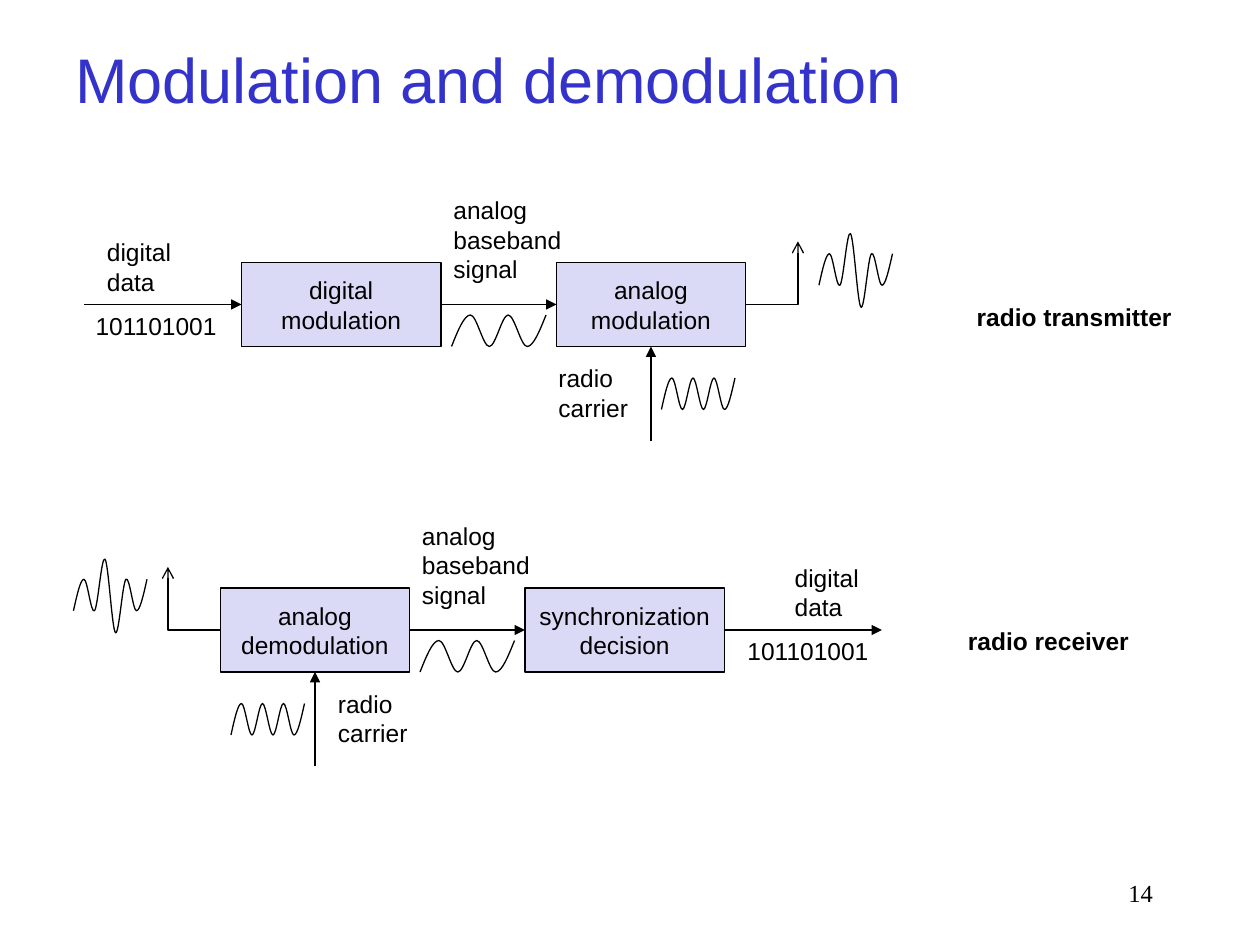
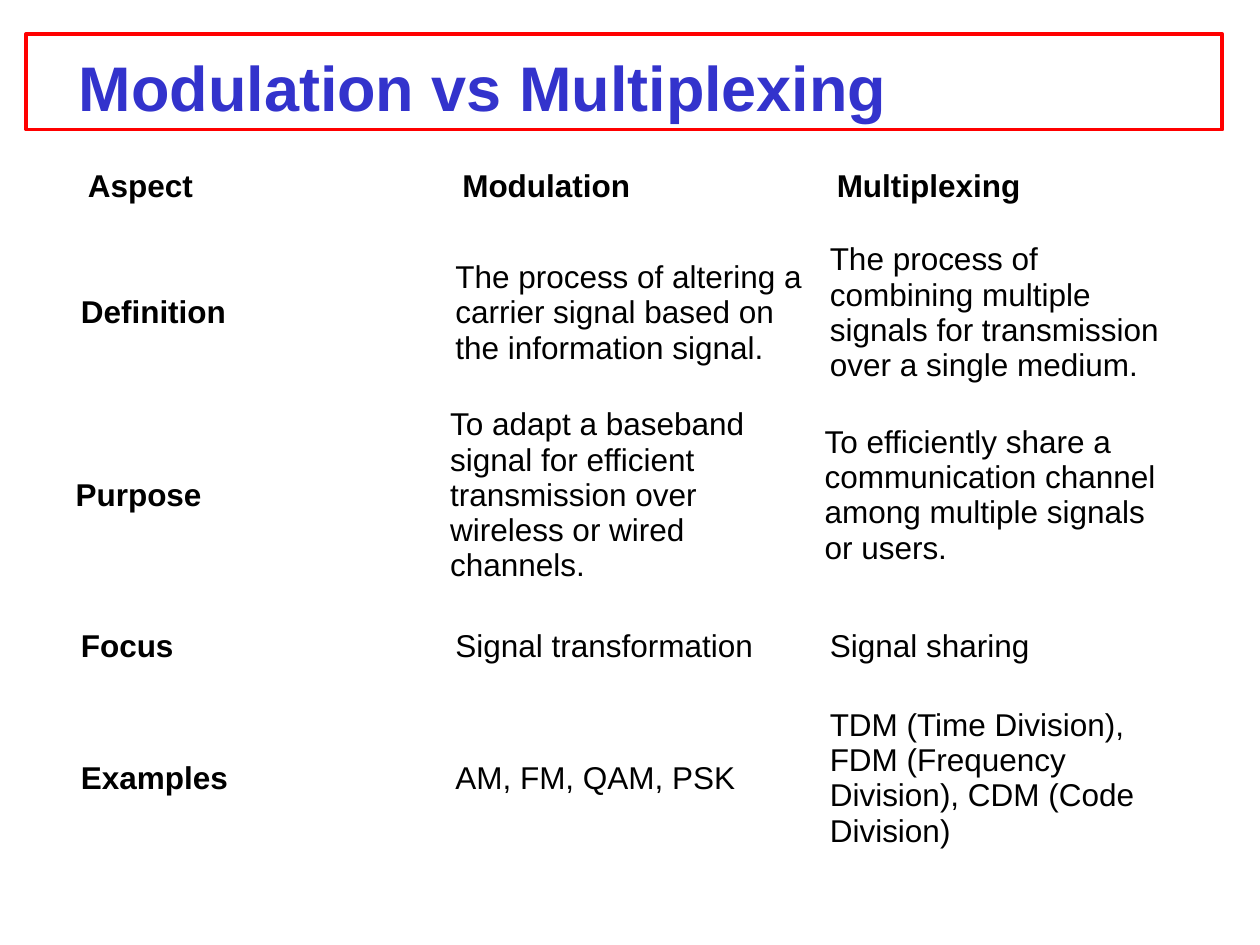
from pptx import Presentation
from pptx.dml.color import RGBColor
from pptx.enum.shapes import MSO_CONNECTOR as Link, MSO_SHAPE as Preset
from pptx.enum.text import MSO_ANCHOR as Anchor, MSO_AUTO_SIZE as Fit, PP_ALIGN as Align
from pptx.oxml.ns import qn
from pptx.oxml.xmlchemy import OxmlElement
from pptx.util import Pt

COLORS = {"title": "3333CC", "ink": "000000", "block": "DADAF6", "frame": "FF0000"}
NO_GRID_STYLE = "{2D5ABB26-0587-4C30-8999-92F81FD0307C}"
LINE = 0.74

DATA = ["digital", "data"]
BITS = ["101101001"]
BASEBAND = ["analog", "baseband", "signal"]
CARRIER = ["radio", "carrier"]

BASEBAND_WAVE = ([0, 18, 0, 18, 0, 18], 10.8, 24)
CARRIER_WAVE = ([0, 18] * 4, 6, 60)
RADIO_WAVE = ([0, 18, 0, 29.5, -12.5, 18, 0, 18], 6, -11)

CHAINS = [
    {"axis": 174,
     "blocks": [(138, 114, ["digital", "modulation"]), (318, 108, ["analog", "modulation"])],
     "flows": [(48, 138), (252, 318)],
     "antenna": (426, 456),
     "carrier": 372,
     "waves": [(258, BASEBAND_WAVE), (378, CARRIER_WAVE), (468, RADIO_WAVE)],
     "labels": [(54, -42, 51, DATA), (252, -66, 76, BASEBAND),
                (47.5, 0, 84, BITS), (312, 30, 54, CARRIER)],
     "caption": (551, -5, 126, ["radio transmitter"])},
    {"axis": 360,
     "blocks": [(126, 108, ["analog", "demodulation"]), (300, 114, ["synchronization", "decision"])],
     "flows": [(234, 300), (414, 504)],
     "antenna": (126, 96),
     "carrier": 180,
     "waves": [(240, BASEBAND_WAVE), (132, CARRIER_WAVE), (42, RADIO_WAVE)],
     "labels": [(447, -42, 51, DATA), (234, -66, 76, BASEBAND),
                (420, 0, 84, BITS), (186, 30, 54, CARRIER)],
     "caption": (546, -6, 107, ["radio receiver"])},
]

COMPARISON = [
    (43, 92, 29, ["Aspect", "Modulation", "Multiplexing"]),
    (39, 132, 93.6, ["Definition",
                     "The process of altering a carrier signal based on the information signal.",
                     "The process of combining multiple signals for transmission over a single medium."]),
    (36, 225.5, 115.2, ["Purpose",
                        "To adapt a baseband signal for efficient transmission over wireless or wired channels.",
                        "To efficiently share a communication channel among multiple signals or users."]),
    (39, 355, 29, ["Focus", "Signal transformation", "Signal sharing"]),
    (39, 398, 93.6, ["Examples", "AM, FM, QAM, PSK",
                     "TDM (Time Division), FDM (Frequency Division), CDM (Code Division)"]),
]
COLUMN = 214


def rgb(name):
    return RGBColor.from_string(COLORS[name])


def write(frame, lines, size=14, bold=False, color="ink", font="Arial", align=Align.LEFT):
    frame.text = "\n".join(lines)
    for paragraph in frame.paragraphs:
        paragraph.alignment = align
        paragraph.font.name, paragraph.font.size = font, Pt(size)
        paragraph.font.bold = bold
        paragraph.font.color.rgb = rgb(color)


def add_text(slide, box, lines, wrap=False, anchor=Anchor.TOP, **style):
    frame = slide.shapes.add_textbox(*map(Pt, box)).text_frame
    write(frame, lines, **style)
    frame.word_wrap, frame.vertical_anchor = wrap, anchor
    frame.auto_size = Fit.NONE if wrap else Fit.SHAPE_TO_FIT_TEXT


def add_title(slide, left, top, text, bold=False):
    add_text(slide, (left, top, 612, 90), [text], wrap=True, anchor=Anchor.MIDDLE,
             size=36, color="title", bold=bold)


def stroke(shape, width=LINE, color="ink"):
    shape.line.color.rgb = rgb(color)
    shape.line.width = Pt(width)


def add_box(slide, box, fill=None, width=LINE, color="ink"):
    rect = slide.shapes.add_shape(Preset.RECTANGLE, *map(Pt, box))
    rect.shadow.inherit = False
    if fill:
        rect.fill.solid()
        rect.fill.fore_color.rgb = rgb(fill)
    else:
        rect.fill.background()
    stroke(rect, width, color)
    return rect


def add_arrow(slide, start, end, kind=Link.STRAIGHT, tip="triangle"):
    arrow = slide.shapes.add_connector(kind, *map(Pt, (*start, *end)))
    stroke(arrow)
    properties = arrow._element.spPr
    if kind == Link.ELBOW:
        properties.find(qn("a:prstGeom")).set("prst", "bentConnector2")
    tail = OxmlElement("a:tailEnd")
    tail.set("type", tip)
    properties.find(qn("a:ln")).append(tail)
    properties.append(OxmlElement("a:effectLst"))


def add_wave(slide, left, base, levels, step):
    last = len(levels) - 1
    tilts = [(levels[1] - levels[0]) / 2]
    tilts += [(after - before) / 6 for before, after in zip(levels, levels[2:])]
    tilts.append((levels[last] - levels[last - 1]) / 2)
    points = []
    for i in range(last):
        heights = (levels[i] + tilts[i], levels[i + 1] - tilts[i + 1], levels[i + 1])
        points += [(Pt(left + step * (i + k / 3)), Pt(base - height))
                   for k, height in enumerate(heights, 1)]
    builder = slide.shapes.build_freeform(Pt(left), Pt(base - levels[0]))
    builder.add_line_segments(points, close=False)
    wave = builder.convert_to_shape()
    segments = list(wave._element.iter(qn("a:lnTo")))
    for i in range(0, len(segments), 3):
        curve = OxmlElement("a:cubicBezTo")
        segments[i].addprevious(curve)
        for segment in segments[i:i + 3]:
            curve.append(segment[0])
            segment.getparent().remove(segment)
    wave.shadow.inherit = False
    wave.fill.background()
    stroke(wave)


def add_chain(slide, chain):
    axis = chain["axis"]
    for left, width, lines in chain["blocks"]:
        block = add_box(slide, (left, axis - 24, width, 48), "block").text_frame
        write(block, lines, align=Align.CENTER)
        block.word_wrap, block.vertical_anchor = False, Anchor.MIDDLE
    for start, end in chain["flows"]:
        add_arrow(slide, (start, axis), (end, axis))
    add_arrow(slide, (chain["carrier"], axis + 78), (chain["carrier"], axis + 24))
    foot, mast = chain["antenna"]
    add_arrow(slide, (foot, axis), (mast, axis - 36), Link.ELBOW, "arrow")
    for left, (levels, step, drop) in chain["waves"]:
        add_wave(slide, left, axis + drop, levels, step)
    for label in chain["labels"] + [chain["caption"]]:
        left, drop, width, lines = label
        add_text(slide, (left, axis + drop, width, 7.2 + 17 * len(lines)), lines,
                 bold=label is chain["caption"])


def add_band(slide, left, top, height, texts, header):
    table = slide.shapes.add_table(1, len(texts), Pt(left), Pt(top),
                                   Pt(COLUMN * len(texts)), Pt(height)).table
    table.first_row = table.horz_banding = False
    table._tbl.tblPr.find(qn("a:tableStyleId")).text = NO_GRID_STYLE
    for i, text in enumerate(texts):
        table.columns[i].width = Pt(COLUMN)
        cell = table.cell(0, i)
        cell.fill.background()
        cell.vertical_anchor = Anchor.MIDDLE
        write(cell.text_frame, [text], size=18, bold=header or i == 0)


deck = Presentation()
deck.slide_width, deck.slide_height = Pt(720), Pt(540)
blank = deck.slide_layouts[6]

radio = deck.slides.add_slide(blank)
add_text(radio, (516, 498, 150, 36), ["14"], wrap=True, font="Times New Roman", align=Align.RIGHT)
add_title(radio, 36, 0, "Modulation and demodulation")
for chain in CHAINS:
    add_chain(radio, chain)

comparison = deck.slides.add_slide(blank)
add_title(comparison, 38, 4.5, "Modulation vs Multiplexing", bold=True)
for row, band in enumerate(COMPARISON):
    add_band(comparison, *band, header=row == 0)
add_box(comparison, (15, 19.5, 683.5, 54.5), width=2.24, color="frame")

deck.save("out.pptx")
